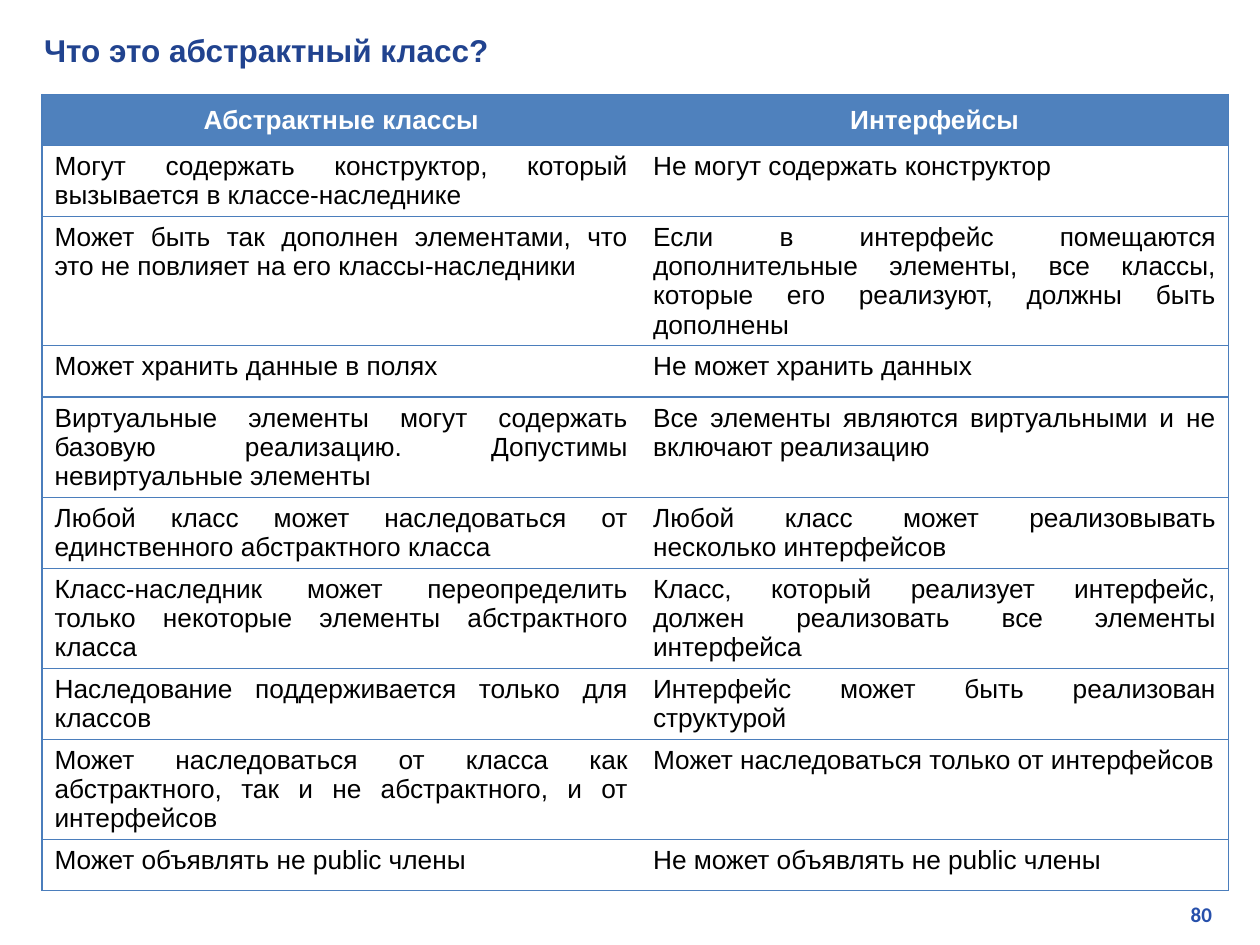
from pptx import Presentation
from pptx.dml.color import RGBColor
from pptx.enum.text import MSO_ANCHOR, PP_ALIGN
from pptx.oxml.ns import qn
from pptx.util import Pt
from lxml import etree

LEFT, CENTER, RIGHT, JUSTIFY = PP_ALIGN.LEFT, PP_ALIGN.CENTER, PP_ALIGN.RIGHT, PP_ALIGN.JUSTIFY
TOP, MIDDLE = MSO_ANCHOR.TOP, MSO_ANCHOR.MIDDLE

TITLE_BLUE = RGBColor(0x21, 0x43, 0x8F)
NUMBER_BLUE = RGBColor(0x27, 0x50, 0xAB)
HEADER_BLUE = RGBColor(0x4F, 0x81, 0xBD)
BORDER_BLUE = RGBColor(0x4B, 0x7E, 0xBC)
WHITE = RGBColor(0xFF, 0xFF, 0xFF)
BLACK = RGBColor(0, 0, 0)

COMPARISON = [
    ("Абстрактные классы", "Интерфейсы"),
    ("Могут содержать конструктор, который вызывается в классе-наследнике",
     "Не могут содержать конструктор"),
    ("Может быть так дополнен элементами, что это не повлияет на его классы-наследники",
     "Если в интерфейс помещаются дополнительные элементы, все классы, "
     "которые его реализуют, должны быть дополнены"),
    ("Может хранить данные в полях", "Не может хранить данных"),
    ("Виртуальные элементы могут содержать базовую реализацию. "
     "Допустимы невиртуальные элементы",
     "Все элементы являются виртуальными и не включают реализацию"),
    ("Любой класс может наследоваться от единственного абстрактного класса",
     "Любой класс может реализовывать несколько интерфейсов"),
    ("Класс-наследник может переопределить только некоторые элементы абстрактного класса",
     "Класс, который реализует интерфейс, должен реализовать все элементы интерфейса"),
    ("Наследование поддерживается только для классов",
     "Интерфейс может быть реализован структурой"),
    ("Может наследоваться от класса как абстрактного, так и не абстрактного, "
     "и от интерфейсов",
     "Может наследоваться только от интерфейсов"),
    ("Может объявлять не public члены", "Не может объявлять не public члены"),
]


def write(tf, text, size, color, font="Arial", bold=False, align=LEFT):
    tf.word_wrap = True
    p = tf.paragraphs[0]
    p.alignment = align
    r = p.add_run()
    r.text = text
    r.font.name, r.font.size, r.font.bold = font, Pt(size), bold
    r.font.color.rgb = color


def set_borders(cell, left, right):
    """Rule the cell above and below, and on the sides asked for."""
    tcPr = cell._tc.get_or_add_tcPr()
    for tag, drawn in (("a:lnL", left), ("a:lnR", right), ("a:lnT", True), ("a:lnB", True)):
        ln = etree.SubElement(tcPr, qn(tag), w=str(Pt(0.75)))
        if drawn:
            fill = etree.SubElement(ln, qn("a:solidFill"))
            etree.SubElement(fill, qn("a:srgbClr"), val=str(BORDER_BLUE))
        else:
            etree.SubElement(ln, qn("a:noFill"))


class Deck:
    text_size = 15

    def __init__(self, width, height):
        self.prs = Presentation()
        self.prs.slide_width, self.prs.slide_height = Pt(width), Pt(height)
        self.s = None

    def add_slide(self):
        self.s = self.prs.slides.add_slide(self.prs.slide_layouts[5])

    def title(self, text, x, y, w, h):
        sp = self.s.shapes.title
        sp.left, sp.top, sp.width, sp.height = Pt(x), Pt(y), Pt(w), Pt(h)
        sp.text_frame.vertical_anchor = MIDDLE
        write(sp.text_frame, text, 18, TITLE_BLUE, bold=True)

    def page_number(self, text, x, y, w, h):
        sp = self.s.shapes.add_textbox(Pt(x), Pt(y), Pt(w), Pt(h))
        sp.text_frame.vertical_anchor = TOP
        write(sp.text_frame, text, 12, NUMBER_BLUE, font="Calibri", bold=True, align=RIGHT)

    def table(self, rows, x, y, widths, heights):
        frame = self.s.shapes.add_table(len(rows), len(widths), Pt(x), Pt(y),
                                        Pt(sum(widths)), Pt(sum(heights)))
        table = frame.table
        table.horz_banding = False
        for column, width in zip(table.columns, widths):
            column.width = Pt(width)
        for i, (texts, height) in enumerate(zip(rows, heights)):
            table.rows[i].height = Pt(height)
            for j, text in enumerate(texts):
                cell = table.cell(i, j)
                set_borders(cell, left=j == 0, right=j == len(widths) - 1)
                self.fill_cell(cell, text, header=i == 0)

    def fill_cell(self, cell, text, header):
        if header:
            cell.fill.solid()
            cell.fill.fore_color.rgb = HEADER_BLUE
            cell.vertical_anchor = MIDDLE
        else:
            cell.fill.background()
        write(cell.text_frame, text, self.text_size, WHITE if header else BLACK,
              bold=header, align=CENTER if header else JUSTIFY)


def main():
    deck = Deck(720, 540)
    deck.add_slide()
    deck.title("Что это абстрактный класс?", 18, 14, 687, 28.8)
    heights = [29.2] * len(COMPARISON)
    heights[-2] = 44.6
    deck.table(COMPARISON, 24, 54, widths=[342, 336], heights=heights)
    deck.page_number("80", 547, 511.4, 152.6, 21.6)
    deck.prs.save("out.pptx")


if __name__ == "__main__":
    main()
